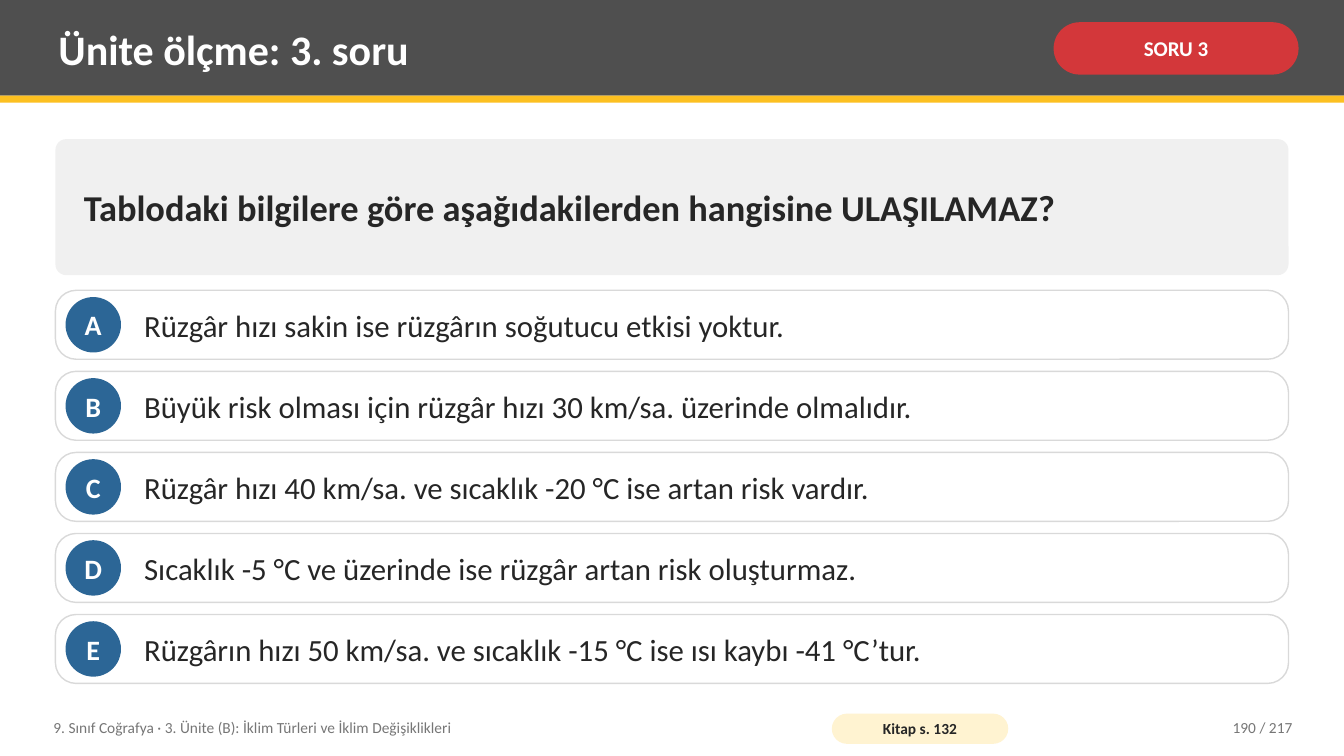
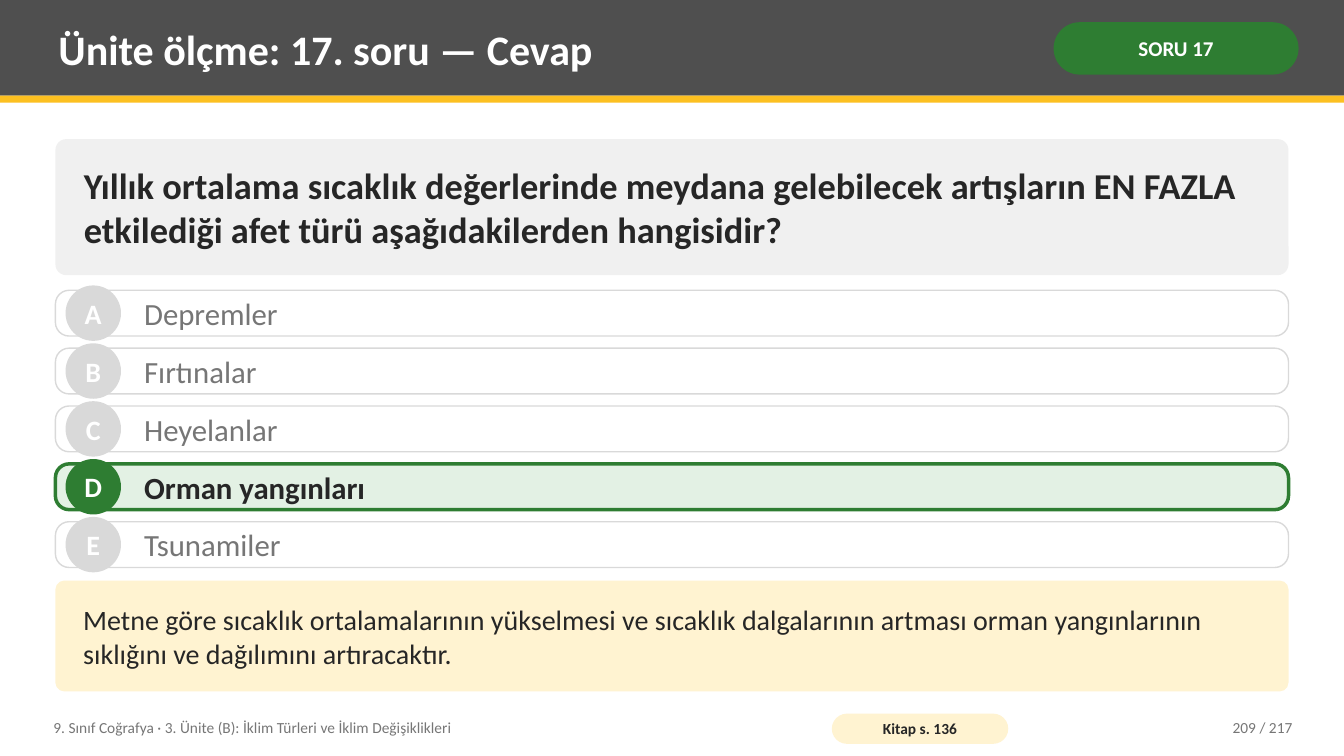
from collections import namedtuple

from pptx import Presentation
from pptx import util as u
from pptx.dml.color import RGBColor
from pptx.enum import shapes, text

# Shared look
FONT = "Calibri"
WHITE = RGBColor(0xFF, 0xFF, 0xFF)
INK = RGBColor(0x26, 0x26, 0x26)
GREY = RGBColor(0x76, 0x76, 0x76)
BORDER = RGBColor(0xD9, 0xD9, 0xD9)
PANEL = RGBColor(0xF0, 0xF0, 0xF0)
BAND = RGBColor(0x4F, 0x4F, 0x4F)
YELLOW = RGBColor(0xFC, 0xC0, 0x21)
CREAM = RGBColor(0xFF, 0xF3, 0xD1)
RED = RGBColor(0xD3, 0x37, 0x3A)
BLUE = RGBColor(0x2C, 0x66, 0x96)
GREEN = RGBColor(0x2E, 0x7D, 0x32)
MINT = RGBColor(0xE3, 0xF1, 0xE4)

RECT = shapes.MSO_SHAPE.RECTANGLE
ROUND = shapes.MSO_SHAPE.ROUNDED_RECTANGLE
OVAL = shapes.MSO_SHAPE.OVAL
LEFT, CENTER, RIGHT = text.PP_ALIGN.LEFT, text.PP_ALIGN.CENTER, text.PP_ALIGN.RIGHT

# Regions, in inches
Box = namedtuple("Box", "left top width height")
WIDTH, HEIGHT = 13.33, 7.5
MARGIN = 0.55
CONTENT = WIDTH - 2 * MARGIN
HEADER = Box(0, 0, WIDTH, 0.95)
QUESTION = Box(MARGIN, 1.38, CONTENT, 1.35)
OPTIONS = Box(MARGIN, 2.88, CONTENT, 3.9)
SHORT_OPTIONS = OPTIONS._replace(height=2.75)
EXPLANATION = Box(MARGIN, 5.76, CONTENT, 1.1)
FOOTER = Box(0.45, 7.04, 12.45, 0.36)
OPTION_GAP = 0.12
DISC = 0.55

COURSE = "9. Sınıf Coğrafya · 3. Ünite (B): İklim Türleri ve İklim Değişiklikleri"
PAGE_COUNT = 217


def inches(box):
    return [u.Inches(length) for length in box]


def write(shape, words, size=22, color=INK, bold=False, align=LEFT,
          insets=(0.08, 0.04), wrap=True):
    """Fill a shape with one vertically centred paragraph."""
    frame = shape.text_frame
    frame.auto_size = text.MSO_AUTO_SIZE.NONE
    frame.word_wrap = wrap
    frame.vertical_anchor = text.MSO_ANCHOR.MIDDLE
    frame.margin_left = frame.margin_right = u.Inches(insets[0])
    frame.margin_top = frame.margin_bottom = u.Inches(insets[1])
    para = frame.paragraphs[0]
    para.alignment = align
    span = para.add_run()
    span.text = words
    span.font.name, span.font.size = FONT, u.Pt(size)
    span.font.bold, span.font.color.rgb = bold, color


def add_label(page, box, words, **style):
    write(page.shapes.add_textbox(*inches(box)), words, **style)


def add_block(page, box, fill, kind=RECT, corner=None, line=None, weight=1):
    block = page.shapes.add_shape(kind, *inches(box))
    block.shadow.inherit = False
    block.fill.solid()
    block.fill.fore_color.rgb = fill
    if corner is not None:
        block.adjustments[0] = corner
    if line is None:
        block.line.fill.background()
    else:
        block.line.color.rgb = line
        block.line.width = u.Pt(weight)
    return block


def add_header(page, box, heading, badge, badge_color):
    band = add_block(page, box, BAND)
    add_block(page, Box(box.left, box.top + box.height, box.width, 0.07), YELLOW)
    # The title sits above the band
    title = page.shapes.title
    band.element.addnext(title.element)
    title.left, title.top, title.width, title.height = inches(
        Box(box.left + 0.5, box.top + 0.07, 9.75, 0.82))
    write(title, heading, size=30, color=WHITE, bold=True)
    # Question badge
    pill = add_block(page, Box(box.left + 10.45, box.top + 0.22, 2.43, 0.52),
                     badge_color, ROUND, 0.5)
    write(pill, badge, size=15, color=WHITE, bold=True, align=CENTER,
          insets=(0.05, 0.02))


def add_panel(page, box, words, fill, **style):
    panel = add_block(page, box, fill, ROUND, 0.08)
    write(panel, words, insets=(0.25, 0.08), **style)


def add_option(page, box, letter, words, state):
    """Draw one answer row: open, right or wrong."""
    right = state == "right"
    add_block(page, box, MINT if right else WHITE, ROUND, 0.3,
              line=GREEN if right else BORDER, weight=2.5 if right else 1)
    disc = add_block(
        page, Box(box.left + 0.1, box.top + (box.height - DISC) / 2, DISC, DISC),
        {"open": BLUE, "right": GREEN, "wrong": BORDER}[state], OVAL)
    write(disc, letter, size=20, color=WHITE, bold=True, align=CENTER,
          insets=(0, 0), wrap=False)
    add_label(page, Box(box.left + 0.8, box.top, box.width - 1, box.height), words,
              color=GREY if state == "wrong" else INK, bold=right)


def add_options(page, box, options, answer=None):
    height = (box.height - OPTION_GAP * (len(options) - 1)) / len(options)
    for index, (letter, words) in enumerate(zip("ABCDE", options)):
        state = "open"
        if answer:
            state = "right" if letter == answer else "wrong"
        row = box._replace(top=box.top + index * (height + OPTION_GAP), height=height)
        add_option(page, row, letter, words, state)


def add_footer(page, box, book_page, number):
    add_label(page, box._replace(width=7.6), COURSE, size=11, color=GREY)
    pill = add_block(page, Box(box.left + 7.8, box.top + 0.04, 1.75, 0.3),
                     CREAM, ROUND, 0.5)
    write(pill, f"Kitap s. {book_page}", size=11, bold=True, align=CENTER,
          insets=(0.04, 0))
    add_label(page, box._replace(left=box.left + box.width - 1.6, width=1.6),
              f"{number} / {PAGE_COUNT}", size=11, color=GREY, align=RIGHT)


def add_question_page(deck, number, question, options, book_page, page_number,
                      answer=None, explanation=None):
    page = deck.slides.add_slide(deck.slide_layouts.get_by_name("Title Only"))
    heading = f"Ünite ölçme: {number}. soru" + (" — Cevap" if answer else "")
    add_header(page, HEADER, heading, f"SORU {number}", GREEN if answer else RED)
    add_panel(page, QUESTION, question, PANEL, size=26, bold=True)
    add_options(page, SHORT_OPTIONS if explanation else OPTIONS, options, answer)
    if explanation:
        add_panel(page, EXPLANATION, explanation, CREAM, size=20)
    add_footer(page, FOOTER, book_page, page_number)


def main():
    deck = Presentation()
    deck.slide_width, deck.slide_height = u.Inches(WIDTH), u.Inches(HEIGHT)

    # Open question
    add_question_page(
        deck, 3,
        "Tablodaki bilgilere göre aşağıdakilerden hangisine ULAŞILAMAZ?",
        ["Rüzgâr hızı sakin ise rüzgârın soğutucu etkisi yoktur.",
         "Büyük risk olması için rüzgâr hızı 30 km/sa. üzerinde olmalıdır.",
         "Rüzgâr hızı 40 km/sa. ve sıcaklık -20 °C ise artan risk vardır.",
         "Sıcaklık -5 °C ve üzerinde ise rüzgâr artan risk oluşturmaz.",
         "Rüzgârın hızı 50 km/sa. ve sıcaklık -15 °C ise ısı kaybı -41 °C’tur."],
        book_page=132, page_number=190)

    # Question with its answer
    add_question_page(
        deck, 17,
        "Yıllık ortalama sıcaklık değerlerinde meydana gelebilecek artışların "
        "EN FAZLA etkilediği afet türü aşağıdakilerden hangisidir?",
        ["Depremler", "Fırtınalar", "Heyelanlar", "Orman yangınları", "Tsunamiler"],
        book_page=136, page_number=209, answer="D",
        explanation="Metne göre sıcaklık ortalamalarının yükselmesi ve sıcaklık "
                    "dalgalarının artması orman yangınlarının sıklığını ve "
                    "dağılımını artıracaktır.")

    deck.save("out.pptx")


if __name__ == "__main__":
    main()
